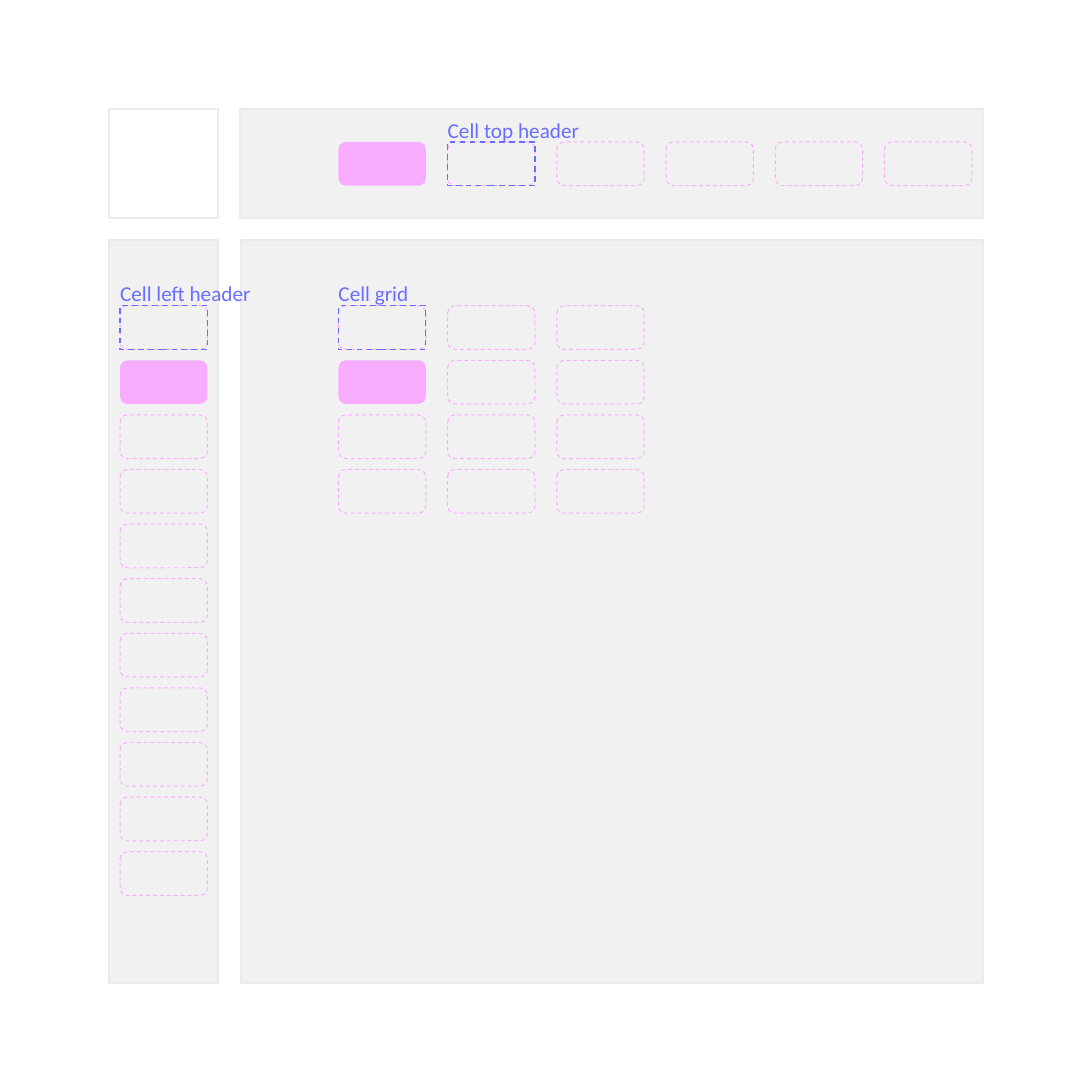
from pptx import Presentation
from pptx.dml.color import RGBColor
from pptx.enum.dml import MSO_LINE
from pptx.enum.shapes import MSO_SHAPE
from pptx.enum.text import MSO_ANCHOR, MSO_AUTO_SIZE, PP_ALIGN
from pptx.util import Cm, Pt

# Content: panels as left, top, width, height in cm; cells as (column, row)
PANELS = [
    ((4.4, 2, 13.6, 2), "panel"),
    ((2, 4.4, 2, 13.6), "panel"),
    ((4.42, 4.4, 13.58, 13.6), "panel"),
    ((2, 2, 2, 2), None),
]
HEADER_ROW = -3
FILLED = [(2, HEADER_ROW), (2, 1), (0, 1)]
TOP_HEADER = [(col, HEADER_ROW) for col in range(2, 8)]
LEFT_HEADER = [(0, row) for row in range(11)]
BODY = [(col, row) for row in range(4) for col in range(2, 5)]
LABELS = [  # text, cell, width in cm
    ("Cell top header", (3, HEADER_ROW), 2.44),
    ("Cell left header", (0, 0), 2.41),
    ("Cell grid", (2, 0), 1.3),
]

# Grid in cm
SIDE = 20
LEFT, TOP = 2.2, 5.6
COL_STEP, ROW_STEP = 2, 1
CELL_W, CELL_H = 1.6, 0.8
LABEL_H, LABEL_OVERLAP = 0.74, 0.14

THEME = {
    "panel": RGBColor(0xF1, 0xF1, 0xF1),
    "border": RGBColor(0xEB, 0xEB, 0xEB),
    "cell": RGBColor(0xF8, 0xAC, 0xFF),
    "label": RGBColor(0x69, 0x6E, 0xFF),
    "font": "Calibri",
    "size": Pt(11),
}


def cell_box(cell):
    col, row = cell
    return LEFT + col * COL_STEP, TOP + row * ROW_STEP, CELL_W, CELL_H


def add_box(shapes, kind, box, fill=None, line=None, weight=1, dash=None):
    s = shapes.add_shape(kind, *map(Cm, box))
    s.shadow.inherit = False
    if fill:
        s.fill.solid()
        s.fill.fore_color.rgb = THEME[fill]
    else:
        s.fill.background()
    if line:
        s.line.color.rgb = THEME[line]
        s.line.width = Pt(weight)
        s.line.dash_style = dash
    else:
        s.line.fill.background()


def add_text(shapes, text, box, color="label", anchor=MSO_ANCHOR.BOTTOM):
    tf = shapes.add_textbox(*map(Cm, box)).text_frame
    tf.word_wrap = False
    tf.auto_size = MSO_AUTO_SIZE.SHAPE_TO_FIT_TEXT
    tf.vertical_anchor = anchor
    tf.margin_left = tf.margin_right = 0
    tf.margin_top = tf.margin_bottom = Cm(0.13)
    p = tf.paragraphs[0]
    p.alignment = PP_ALIGN.LEFT
    r = p.add_run()
    r.text = text
    r.font.name, r.font.size = THEME["font"], THEME["size"]
    r.font.color.rgb = THEME[color]


def main():
    prs = Presentation()
    prs.slide_width = prs.slide_height = Cm(SIDE)
    shapes = prs.slides.add_slide(prs.slide_layouts[6]).shapes

    # Background panels
    panels = shapes.add_group_shape().shapes
    for box, fill in PANELS:
        add_box(panels, MSO_SHAPE.RECTANGLE, box, fill=fill, line="border")

    # Filled and outlined cells
    for cell in FILLED:
        add_box(shapes, MSO_SHAPE.ROUNDED_RECTANGLE, cell_box(cell), fill="cell")
    for cell in TOP_HEADER + LEFT_HEADER + BODY:
        if cell not in FILLED:
            add_box(shapes, MSO_SHAPE.ROUNDED_RECTANGLE, cell_box(cell),
                    line="cell", weight=0.5, dash=MSO_LINE.DASH)

    # Labelled cells
    for text, cell, width in LABELS:
        group = shapes.add_group_shape().shapes
        x, y, w, h = cell_box(cell)
        add_box(group, MSO_SHAPE.RECTANGLE, (x, y, w, h),
                line="label", weight=0.75, dash=MSO_LINE.DASH)
        add_text(group, text, (x, y + LABEL_OVERLAP - LABEL_H, width, LABEL_H))

    prs.save("out.pptx")


if __name__ == "__main__":
    main()
